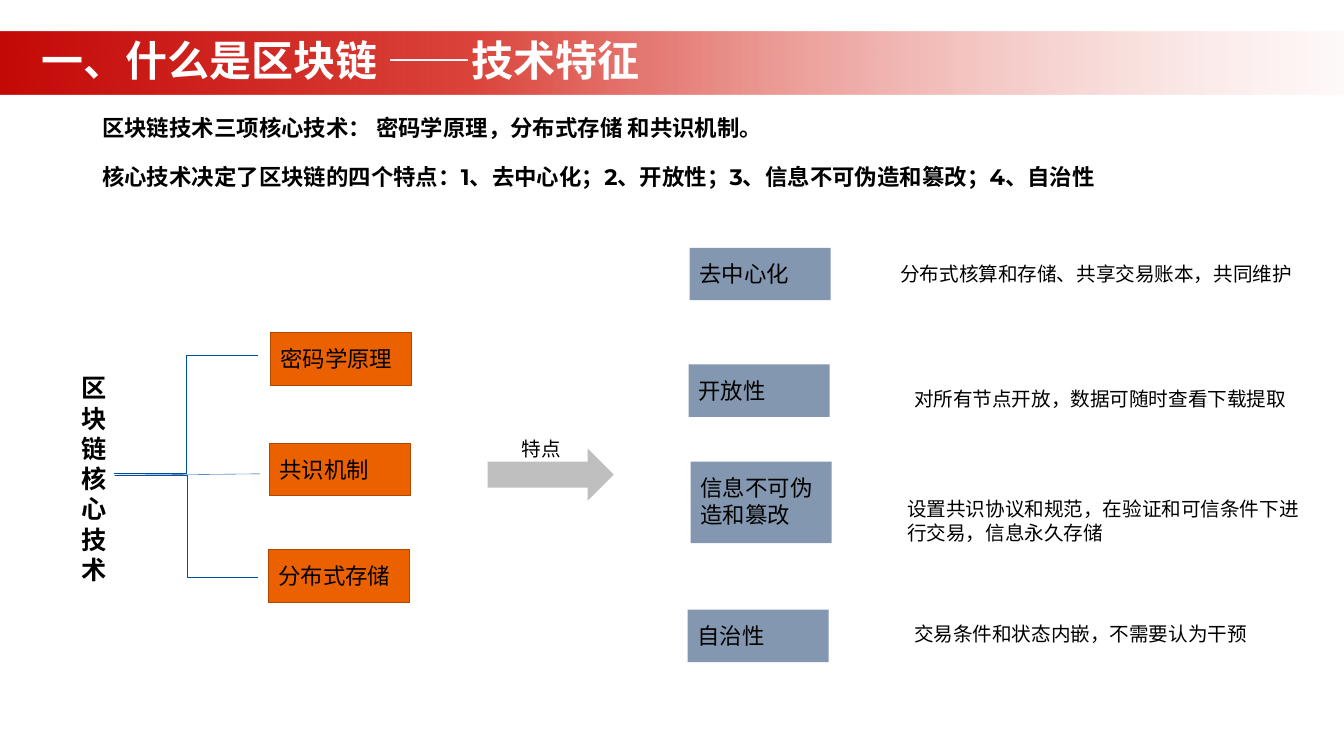
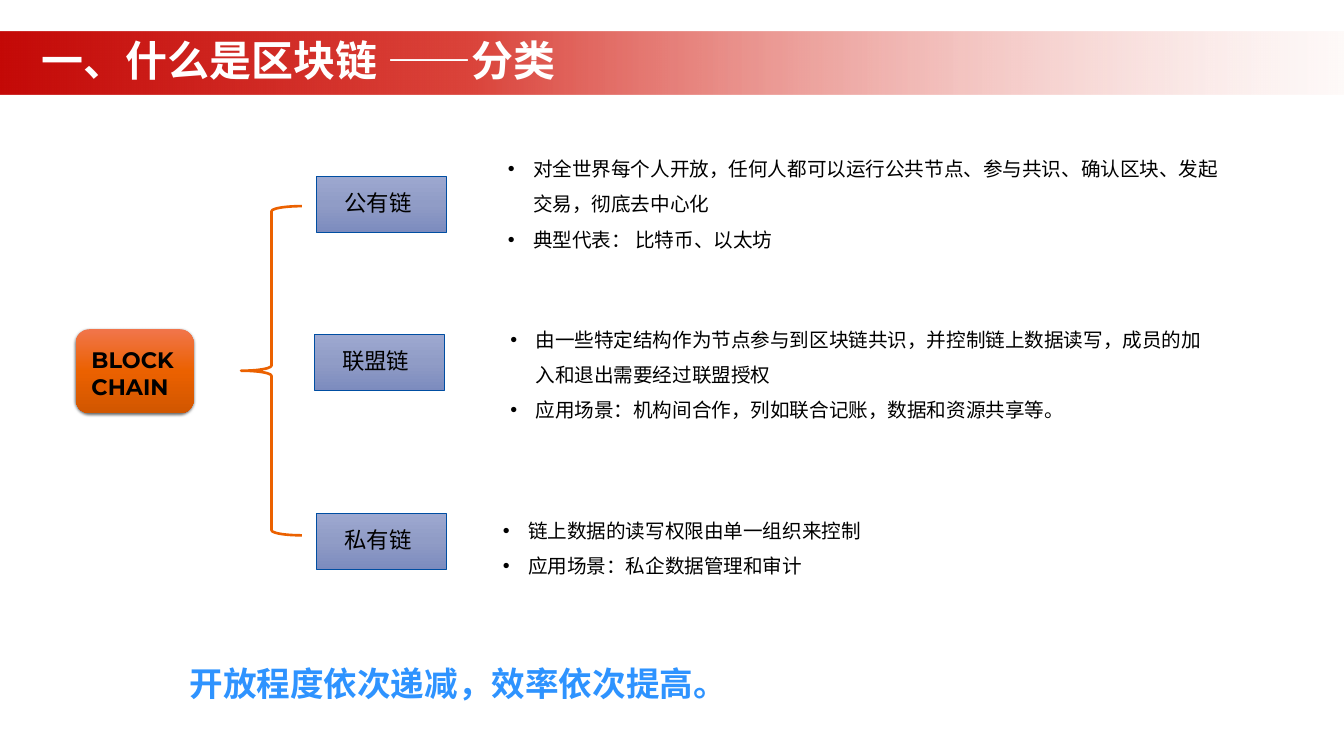
from lxml.etree import SubElement
from pptx import Presentation
from pptx.dml.color import RGBColor
from pptx.enum.shapes import MSO_CONNECTOR, MSO_SHAPE
from pptx.enum.text import MSO_ANCHOR, MSO_AUTO_SIZE, PP_ALIGN
from pptx.oxml.ns import qn
from pptx.util import Cm, Pt

HUES = {
    "white": "FFFFFF", "black": "000000", "sky": "2E93FF", "blue": "004EA2",
    "orange": "EB6100", "rust": "AE4800", "slate": "8497B0", "grey": "BFBFBF",
}
FADES = {
    "band": (0, [(0, "C40907", 100), (35, "DB443B", 100), (100, "FDF3F1", 40)]),
    "glow": (270, [(0, "F1754B", 100), (50, "EB6100", 100), (100, "D15600", 100)]),
    "haze": (270, [(0, "9DA8D0", 100), (50, "909CC6", 100), (100, "7C8BBE", 100)]),
}
LATIN, HAN = "Montserrat", "Noto Sans CJK SC"


def draw(slide, area, fill=None, line=None, width=1, kind=MSO_SHAPE.RECTANGLE):
    shape = slide.shapes.add_shape(kind, *map(Cm, area))
    shape.shadow.inherit = False
    if fill in FADES:
        angle, stops = FADES[fill]
        shape.fill.gradient()
        shape.fill.gradient_angle = angle
        ramp = shape._element.spPr.find(qn("a:gradFill")).find(qn("a:gsLst"))
        ramp.clear()
        for spot, hue, alpha in stops:
            stop = SubElement(ramp, qn("a:gs"), pos=str(spot * 1000))
            tint = SubElement(stop, qn("a:srgbClr"), val=hue)
            if alpha < 100:
                SubElement(tint, qn("a:alpha"), val=str(alpha * 1000))
    elif fill:
        shape.fill.solid()
        shape.fill.fore_color.rgb = RGBColor.from_string(HUES[fill])
    else:
        shape.fill.background()
    if line:
        shape.line.color.rgb = RGBColor.from_string(HUES[line])
        shape.line.width = Pt(width)
    else:
        shape.line.fill.background()
    return shape


def write(slide, area, lines, size=32, bold=False, hue="black", face=LATIN,
          wrap=True, dots=False, box=None):
    if box is None:
        box = slide.shapes.add_textbox(*map(Cm, area))
        box.text_frame.auto_size = MSO_AUTO_SIZE.SHAPE_TO_FIT_TEXT
    frame = box.text_frame
    frame.word_wrap = wrap
    for i, words in enumerate(lines):
        para = frame.paragraphs[0] if i == 0 else frame.add_paragraph()
        if dots:
            props = para._p.get_or_add_pPr()
            props.set("marL", str(Cm(1.27)))
            props.set("indent", str(-Cm(1.27)))
            SubElement(props, qn("a:buFont"), typeface="Arial")
            SubElement(props, qn("a:buChar"), char="•")
            para.line_spacing = 1.5
        run = para.add_run()
        run.text = words
        run.font.color.rgb = RGBColor.from_string(HUES[hue])
        for key, value in {"size": Pt(size), "bold": bold, "name": face}.items():
            setattr(run.font, key, value)
        SubElement(run._r.get_or_add_rPr(), qn("a:ea"), typeface=HAN)


deck = Presentation()
deck.slide_width, deck.slide_height = Cm(67.74), Cm(38.1)

pages = []
for topic in ("技术特征", "分类"):
    page = deck.slides.add_slide(deck.slide_layouts[6])
    band = draw(page, (0, 1.57, 67.74, 3.2), "band")
    write(page, None, [f"一、什么是区块链 ——{topic}"], 60, True, "white", HAN, box=band)
    band.text_frame.margin_left = Cm(2.1)
    band.text_frame.vertical_anchor = MSO_ANCHOR.MIDDLE
    for key, value in {"alignment": PP_ALIGN.LEFT, "line_spacing": 0.9}.items():
        setattr(band.text_frame.paragraphs[0], key, value)
    pages.append(page)
traits, types = pages

write(traits, (4.9, 5.61, 33.96, 1.63),
      ["区块链技术三项核心技术： 密码学原理，分布式存储 和共识机制。"], bold=True)
write(traits, (4.9, 8.11, 51.46, 1.63),
      ["核心技术决定了区块链的四个特点：1、去中心化；2、开放性；3、信息不可伪造和篡改；4、自治性"],
      bold=True)

cores = [(13.61, 16.76, "密码学原理"), (13.56, 22.35, "共识机制"),
         (13.51, 27.71, "分布式存储")]
for x, y, name in cores:
    draw(traits, (x, y, 7.11, 2.64), "orange", "rust")
    write(traits, (x + 0.27, y + 0.51, 7.52, 1.63), [name])
write(traits, (3.86, 18.66, 1.65, 11.02), ["区块链核心技术"], 36, True)

links = [
    (MSO_CONNECTOR.ELBOW, 5.74, 23.85, 13, 17.91),
    (MSO_CONNECTOR.ELBOW, 5.82, 23.95, 13.02, 29.08),
    (MSO_CONNECTOR.STRAIGHT, 13.11, 23.88, 5.74, 23.95),
]
for kind, *ends in links:
    link = traits.shapes.add_connector(kind, *map(Cm, ends))
    link.line.color.rgb = RGBColor.from_string(HUES["blue"])
    link.line.width = Pt(0.5)
    SubElement(link._element.spPr, qn("a:effectLst"))

marks = [
    (34.76, 12.49, 2.64, 7.52, "去中心化"),
    (34.71, 18.37, 2.64, 7.52, "开放性"),
    (34.81, 23.27, 4.11, 6.17, "信息不可伪造和篡改"),
    (34.66, 30.73, 2.64, 7.52, "自治性"),
]
for x, y, high, wide, name in marks:
    draw(traits, (x, y, 7.11, high), "slate")
    write(traits, (x + 0.25, y + 0.5, wide, high - 1.05), [name])

draw(traits, (24.58, 22.61, 6.35, 2.62), "grey", kind=MSO_SHAPE.RIGHT_ARROW)
labels = [
    (26.06, 21.89, 2.49, 1.45, False, "特点"),
    (45.13, 13.06, 20.27, 1.45, False, "分布式核算和存储、共享交易账本，共同维护"),
    (45.48, 24.94, 20.98, 2.64, True, "设置共识协议和规范，在验证和可信条件下进行交易，信息永久存储"),
    (45.82, 19.35, 19.28, 1.45, False, "对所有节点开放，数据可随时查看下载提取"),
    (45.82, 31.22, 17.3, 1.45, False, "交易条件和状态内嵌，不需要认为干预"),
]
for *area, wrap, words in labels:
    write(traits, area, [words], 28, wrap=wrap)

root = draw(types, (3.82, 16.59, 5.94, 4.24), "glow", kind=MSO_SHAPE.ROUNDED_RECTANGLE)
effects = root._element.spPr.find(qn("a:effectLst"))
shade = SubElement(effects, qn("a:outerShdw"), blurRad=str(Pt(4.5)), dist=str(Pt(1.5)),
                   dir="5400000", rotWithShape="0")
tint = SubElement(shade, qn("a:srgbClr"), val=HUES["black"])
SubElement(tint, qn("a:alpha"), val="63000")
write(types, (4.36, 17.3, 4.93, 3), ["BLOCK", "CHAIN"], bold=True)
draw(types, (12.15, 10.39, 3.07, 16.59), None, "orange", 3.75, MSO_SHAPE.LEFT_BRACE)

chains = [
    (15.96, 8.89, "公有链", (25.35, 7.19, 36.75, 5.64), True,
     ["对全世界每个人开放，任何人都可以运行公共节点、参与共识、确认区块、发起交易，彻底去中心化",
      "典型代表： 比特币、以太坊"]),
    (15.85, 16.86, "联盟链", (25.47, 15.8, 35.84, 5.64), True,
     ["由一些特定结构作为节点参与到区块链共识，并控制链上数据读写，成员的加入和退出需要经过联盟授权",
      "应用场景：机构间合作，列如联合记账，数据和资源共享等。"]),
    (15.96, 25.88, "私有链", (25.1, 25.43, 18.57, 3.84), False,
     ["链上数据的读写权限由单一组织来控制", "应用场景：私企数据管理和审计"]),
]
for x, y, name, area, wrap, facts in chains:
    draw(types, (x, y, 6.53, 2.82), "haze", "blue", 0.5)
    write(types, (x + 1.14, y + 0.51, 4.27, 1.63), [name])
    write(types, area, facts, 28, wrap=wrap, dots=True)

write(types, (9.3, 33.27, 26.52, 2.31), ["开放程度依次递减，效率依次提高。"], 48, True, "sky")

deck.save("out.pptx")
